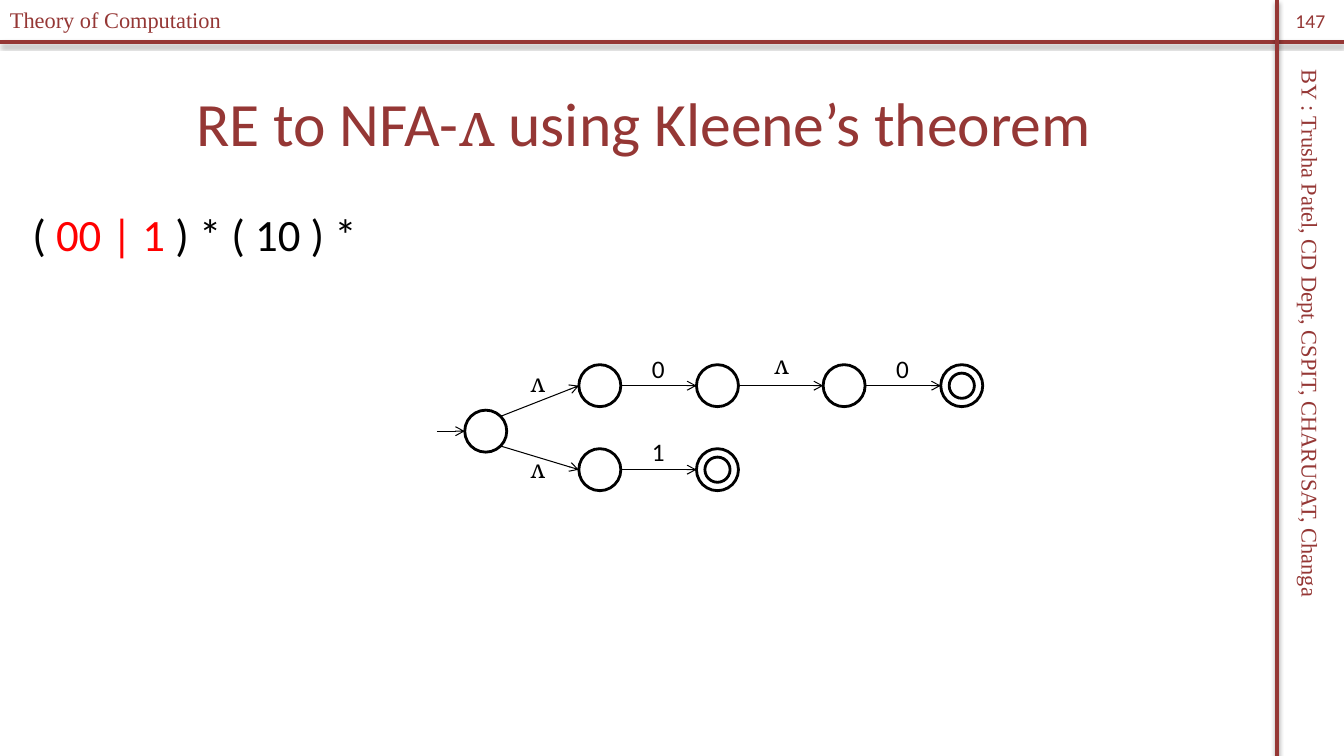
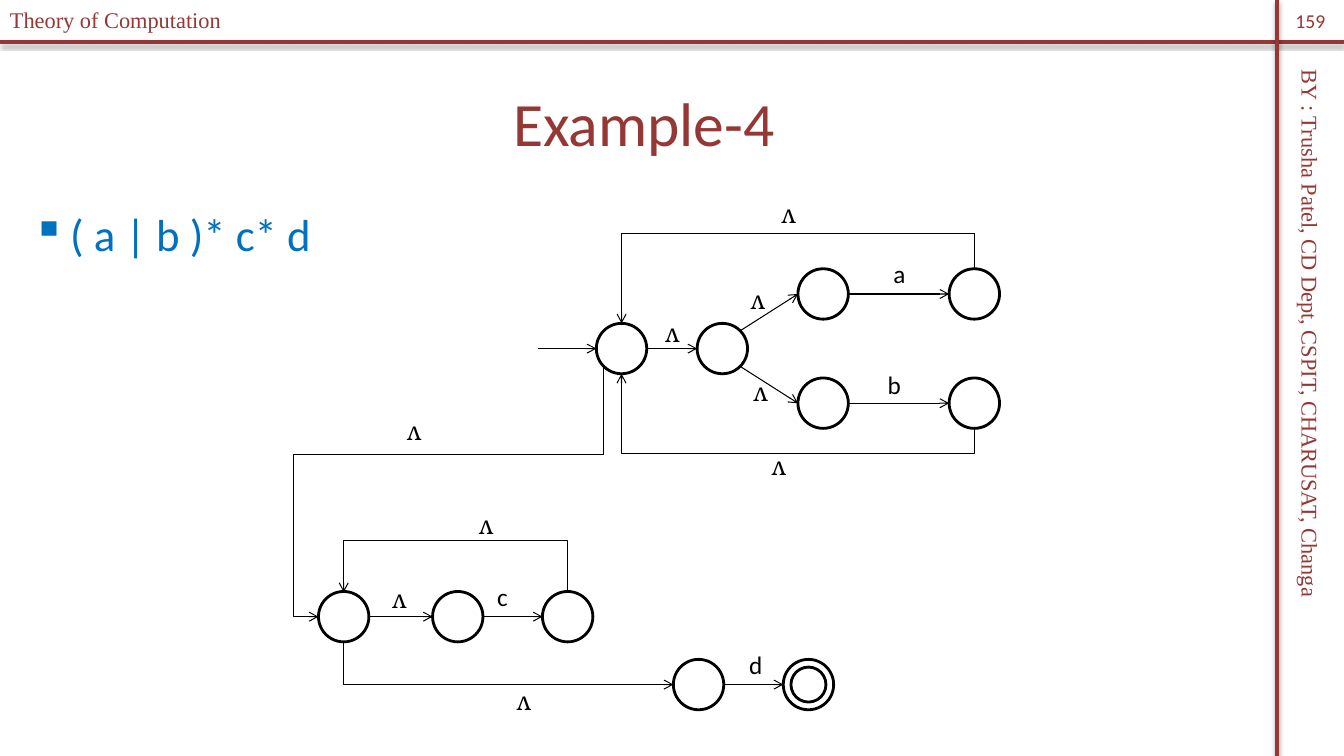
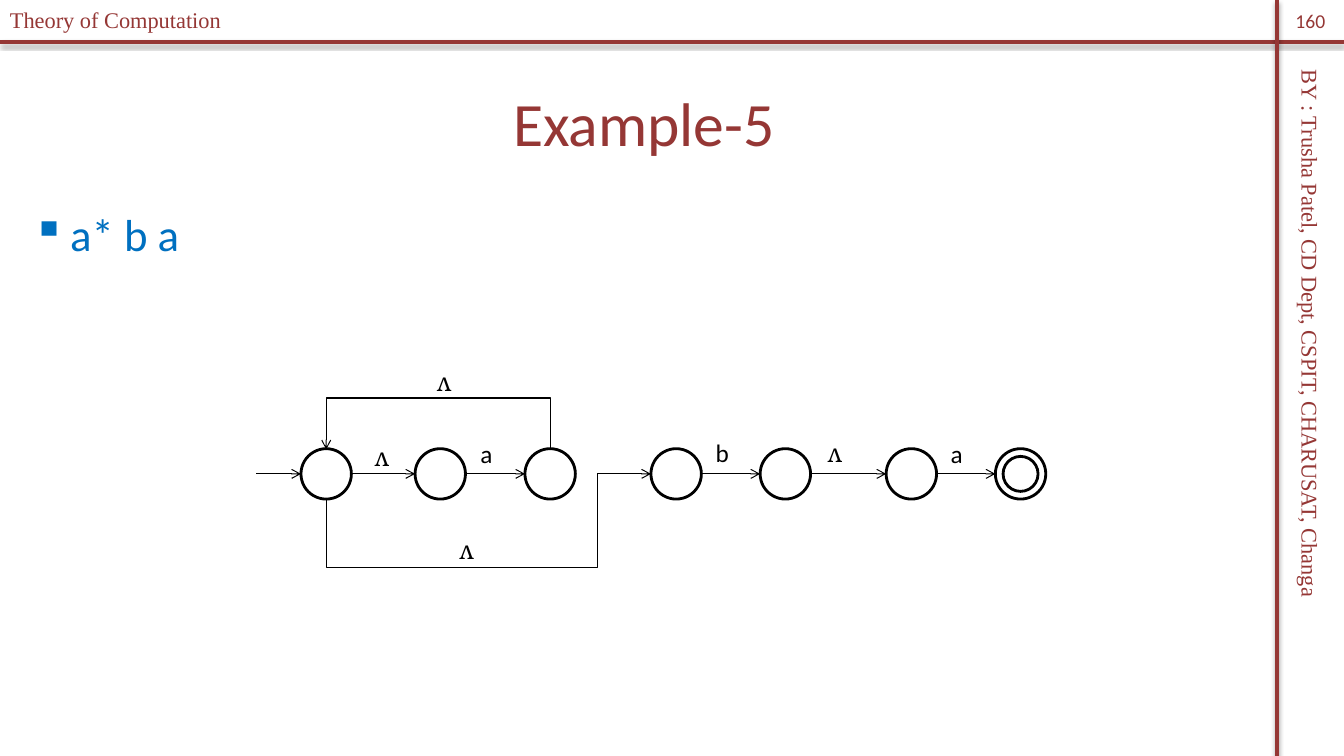
import math
from dataclasses import dataclass
from enum import IntEnum

import lxml.etree
import pptx
import pptx.dml.color
import pptx.enum.shapes
import pptx.enum.text
import pptx.oxml.ns
import pptx.shapes.autoshape
import pptx.shapes.connector
import pptx.slide
import pptx.util

Pt = pptx.util.Pt
qn = pptx.oxml.ns.qn
Slide = pptx.slide.Slide
Connector = pptx.shapes.connector.Connector
Oval = pptx.shapes.autoshape.Shape
Align = pptx.enum.text.PP_ALIGN
Anchor = pptx.enum.text.MSO_ANCHOR
Line = pptx.enum.shapes.MSO_CONNECTOR
Point = tuple[float, float]


@dataclass(frozen=True)
class Theme:
    accent: str = "953735"
    ink: str = "000000"
    paper: str = "FFFFFF"
    highlight: str = "FF0000"
    expression: str = "0070C0"
    font: str = "Calibri"
    symbol_font: str = "Cambria"
    frame_font: str = "Times New Roman"
    title_size: float = 44
    body_size: float = 32
    label_size: float = 18
    frame_size: float = 16
    number_size: float = 14
    rule_width: float = 3
    state_width: float = 2
    edge_width: float = 0.75


THEME = Theme()
WIDTH, HEIGHT = 960, 540
RAIL_X, RULE_Y = 912, 30
LAMBDA = "ʌ"


class Site(IntEnum):
    TOP = 0
    TOP_LEFT = 1
    LEFT = 2
    BOTTOM_LEFT = 3
    BOTTOM = 4
    BOTTOM_RIGHT = 5
    RIGHT = 6
    TOP_RIGHT = 7


@dataclass(frozen=True)
class Run:
    text: str
    color: str
    size: float
    font: str = THEME.font


@dataclass(frozen=True)
class Box:
    left: float
    top: float
    width: float
    height: float


@dataclass(frozen=True)
class State:
    x: float
    y: float
    accepting: bool = False


@dataclass(frozen=True)
class Edge:
    source: str
    target: str
    leaves: Site = Site.RIGHT
    enters: Site = Site.LEFT
    lanes: tuple[float, ...] | None = None


@dataclass(frozen=True)
class Label:
    left: float
    top: float
    symbol: str = LAMBDA


@dataclass(frozen=True)
class Automaton:
    diameter: float
    core: float
    entry_length: float
    start: str
    states: dict[str, State]
    edges: list[Edge]
    labels: list[Label]

    def site(self, name: str, site: Site) -> Point:
        state, angle = self.states[name], math.radians(90 + 45 * site)
        radius = self.diameter / 2
        return state.x + radius * math.cos(angle), state.y - radius * math.sin(angle)


@dataclass(frozen=True)
class Lesson:
    number: str
    title: list[Run]
    expression: list[Run]
    bulleted: bool
    automaton: Automaton


def rgb(color: str) -> pptx.dml.color.RGBColor:
    return pptx.dml.color.RGBColor.from_string(color)


def add_xml(parent, tag: str, **attributes: str):
    child = lxml.etree.SubElement(parent, qn(tag))
    for key, value in attributes.items():
        child.set(key, value)
    return child


def add_text(slide: Slide, box: Box, runs: list[Run], align=Align.LEFT,
             anchor=Anchor.TOP, wrap: bool = True, rotation: float = 0,
             bulleted: bool = False) -> None:
    area = slide.shapes.add_textbox(Pt(box.left), Pt(box.top), Pt(box.width), Pt(box.height))
    area.rotation = rotation
    frame = area.text_frame
    frame.word_wrap = wrap
    frame.vertical_anchor = anchor
    paragraph = frame.paragraphs[0]
    paragraph.alignment = align
    if bulleted:
        properties = paragraph._p.get_or_add_pPr()
        properties.set("marL", str(Pt(27)))
        properties.set("indent", str(Pt(-27)))
        add_xml(properties, "a:buChar", char="▪")
    for part in runs:
        run = paragraph.add_run()
        run.text = part.text
        run.font.name = part.font
        run.font.size = Pt(part.size)
        run.font.color.rgb = rgb(part.color)


def add_line(slide: Slide, kind, begin: Point, end: Point, color: str, width: float) -> Connector:
    line = slide.shapes.add_connector(kind, *(Pt(value) for value in (*begin, *end)))
    line.line.color.rgb = rgb(color)
    line.line.width = Pt(width)
    add_xml(line.element.spPr, "a:effectLst")
    return line


def add_frame_rule(slide: Slide, begin: Point, end: Point) -> None:
    rule = add_line(slide, Line.STRAIGHT, begin, end, THEME.accent, THEME.rule_width)
    shadow = add_xml(rule.element.spPr.find(qn("a:effectLst")), "a:outerShdw",
                     blurRad=str(Pt(3.1)), dist=str(Pt(1.8)), dir="5400000", rotWithShape="0")
    tint = add_xml(shadow, "a:srgbClr", val=THEME.ink)
    add_xml(tint, "a:alpha", val="35000")


def add_frame(slide: Slide, number: str) -> None:
    add_frame_rule(slide, (0, RULE_Y), (WIDTH, RULE_Y))
    add_frame_rule(slide, (RAIL_X, 0), (RAIL_X, HEIGHT))
    author = "BY : Trusha Patel, CD Dept, CSPIT, CHARUSAT, Changa"
    for text, box, rotation in (
        (author, Box(705, 260.5, 462, 26.5), 90),
        ("Theory of Computation", Box(0, 0.5, 237, 26.5), 0),
    ):
        add_text(slide, box, [Run(text, THEME.accent, THEME.frame_size, THEME.frame_font)],
                 rotation=rotation)
    add_text(slide, Box(RAIL_X, 0, WIDTH - RAIL_X, 29),
             [Run(number, THEME.accent, THEME.number_size)], Align.CENTER, Anchor.MIDDLE)


def add_circle(slide: Slide, state: State, diameter: float) -> Oval:
    circle = slide.shapes.add_shape(
        pptx.enum.shapes.MSO_SHAPE.OVAL, Pt(state.x - diameter / 2), Pt(state.y - diameter / 2),
        Pt(diameter), Pt(diameter))
    circle.shadow.inherit = False
    circle.fill.solid()
    circle.fill.fore_color.rgb = rgb(THEME.paper)
    circle.line.color.rgb = rgb(THEME.ink)
    circle.line.width = Pt(THEME.state_width)
    return circle


def add_arrow(slide: Slide, kind, begin: Point, end: Point) -> Connector:
    arrow = add_line(slide, kind, begin, end, THEME.ink, THEME.edge_width)
    add_xml(arrow.line._get_or_add_ln(), "a:tailEnd", type="arrow")
    return arrow


def add_elbow(slide: Slide, begin: Point, end: Point, lanes: tuple[float, ...]) -> Connector:
    (x1, y1), (x2, y2) = begin, end
    across, down = x2 - x1, (y2 - y1) or 1
    middle_x, middle_y = (x1 + x2) / 2, (y1 + y2) / 2
    arrow = add_arrow(slide, Line.ELBOW,
                      (middle_x - down / 2, middle_y + across / 2),
                      (middle_x + down / 2, middle_y - across / 2))
    properties = arrow.element.spPr
    properties.find(qn("a:xfrm")).set("rot", "5400000")
    geometry = properties.find(qn("a:prstGeom"))
    geometry.set("prst", f"bentConnector{2 + len(lanes)}")
    ratios = zip(lanes, (y1, x1), (down, across))
    for index, (lane, origin, span) in enumerate(ratios, 1):
        value = round((lane - origin) / span * 100000)
        add_xml(geometry.find(qn("a:avLst")), "a:gd", name=f"adj{index}", fmla=f"val {value}")
    return arrow


def glue(arrow: Connector, tag: str, circle: Oval, site: Site) -> None:
    links = arrow.element.find(qn("p:nvCxnSpPr")).find(qn("p:cNvCxnSpPr"))
    add_xml(links, tag, id=str(circle.shape_id), idx=str(int(site)))


def add_automaton(slide: Slide, automaton: Automaton) -> None:
    circles = {}
    for name, state in automaton.states.items():
        circles[name] = add_circle(slide, state, automaton.diameter)
        if state.accepting:
            add_circle(slide, state, automaton.core)

    entry_x, entry_y = automaton.site(automaton.start, Site.LEFT)
    entry = add_arrow(slide, Line.STRAIGHT, (entry_x - automaton.entry_length, entry_y),
                      (entry_x, entry_y))
    glue(entry, "a:endCxn", circles[automaton.start], Site.LEFT)

    for edge in automaton.edges:
        begin = automaton.site(edge.source, edge.leaves)
        end = automaton.site(edge.target, edge.enters)
        if edge.lanes is None:
            arrow = add_arrow(slide, Line.STRAIGHT, begin, end)
        else:
            arrow = add_elbow(slide, begin, end, edge.lanes)
        glue(arrow, "a:stCxn", circles[edge.source], edge.leaves)
        glue(arrow, "a:endCxn", circles[edge.target], edge.enters)

    for label in automaton.labels:
        font = THEME.symbol_font if label.symbol == LAMBDA else THEME.font
        add_text(slide, Box(label.left, label.top, 24, 29),
                 [Run(label.symbol, THEME.ink, THEME.label_size, font)], wrap=False)


def add_lesson(slide: Slide, lesson: Lesson) -> None:
    add_frame(slide, lesson.number)
    add_text(slide, Box(16, 42, 888, 90), lesson.title, Align.CENTER, Anchor.MIDDLE)
    add_text(slide, Box(16, 144, 888, 378), lesson.expression, bulleted=lesson.bulleted)
    add_automaton(slide, lesson.automaton)


def heading(text: str, font: str = THEME.font) -> Run:
    return Run(text, THEME.accent, THEME.title_size, font)


def body(text: str, color: str = THEME.expression) -> Run:
    return Run(text, color, THEME.body_size)


UNION = Automaton(
    30, 18, 20, "start",
    {
        "start": State(347, 308),
        "zero 1": State(428.5, 275.5),
        "zero 2": State(512.5, 275.5),
        "zero 3": State(603, 275.5),
        "zero 4": State(687, 275.5, True),
        "one 1": State(428.5, 335.5),
        "one 2": State(512.5, 335.5, True),
    },
    [
        Edge("start", "zero 1", Site.TOP_RIGHT),
        Edge("start", "one 1", Site.BOTTOM_RIGHT),
        Edge("zero 1", "zero 2"),
        Edge("zero 2", "zero 3"),
        Edge("zero 3", "zero 4"),
        Edge("one 1", "one 2"),
    ],
    [
        Label(458.5, 248.5, "0"), Label(633, 248.5, "0"), Label(458.5, 308, "1"),
        Label(546, 246), Label(372, 259), Label(372, 320.5),
    ],
)

STAR_CHAIN = Automaton(
    36, 25, 42, "hub",
    {
        "hub": State(444, 249),
        "fork": State(516, 249),
        "a 1": State(588, 210),
        "a 2": State(696, 210),
        "b 1": State(588, 288),
        "b 2": State(696, 288),
        "c hub": State(245.5, 440.5),
        "c 1": State(327, 440.5),
        "c 2": State(405.5, 440.5),
        "d 1": State(499, 489),
        "d 2": State(577.5, 489, True),
    },
    [
        Edge("hub", "fork"),
        Edge("fork", "a 1", Site.TOP_RIGHT),
        Edge("fork", "b 1", Site.BOTTOM_RIGHT),
        Edge("a 1", "a 2"),
        Edge("b 1", "b 2"),
        Edge("a 2", "hub", Site.TOP, Site.TOP, (166.5,)),
        Edge("b 2", "hub", Site.BOTTOM, Site.BOTTOM, (324,)),
        Edge("hub", "c hub", Site.BOTTOM_LEFT, Site.LEFT, (324.5, 209.5)),
        Edge("c hub", "c 1"),
        Edge("c 1", "c 2"),
        Edge("c 2", "c hub", Site.TOP, Site.TOP, (386.5,)),
        Edge("c hub", "d 1", Site.BOTTOM, Site.LEFT, ()),
        Edge("d 1", "d 2"),
    ],
    [
        Label(631, 181, "a"), Label(627, 260.5, "b"), Label(348, 412, "c"),
        Label(528, 460, "d"), Label(529, 199.5), Label(531, 265.5), Label(551, 138),
        Label(544, 318), Label(468, 223), Label(335, 360), Label(273, 413),
        Label(283.5, 293), Label(362, 486),
    ],
)

STAR_THEN_WORD = Automaton(
    36, 25, 32, "hub",
    {
        "hub": State(233, 338.5),
        "loop 1": State(314.5, 338.5),
        "loop 2": State(393, 338.5),
        "b 1": State(483, 338.5),
        "b 2": State(561, 338.5),
        "a 1": State(651, 338.5),
        "a 2": State(729, 338.5, True),
    },
    [
        Edge("hub", "loop 1"),
        Edge("loop 1", "loop 2"),
        Edge("loop 2", "hub", Site.TOP, Site.TOP, (284.5,)),
        Edge("hub", "b 1", Site.BOTTOM, Site.LEFT, (405.5, 427)),
        Edge("b 1", "b 2"),
        Edge("b 2", "a 1"),
        Edge("a 1", "a 2"),
    ],
    [
        Label(336, 309.5, "a"), Label(504, 309, "b"), Label(672, 309.5, "a"),
        Label(305, 258), Label(260.5, 312), Label(321, 378), Label(584, 309),
    ],
)

LESSONS = [
    Lesson(
        "147",
        [heading("RE to NFA-"), heading(LAMBDA, THEME.symbol_font),
         heading(" using Kleene’s theorem")],
        [body("( ", THEME.ink), body("00 | 1 ", THEME.highlight), body(") * ( 10 ) *", THEME.ink)],
        False, UNION,
    ),
    Lesson("159", [heading("Example-4")], [body("( a | b )* c* d")], True, STAR_CHAIN),
    Lesson("160", [heading("Example-5")], [body("a* b a")], True, STAR_THEN_WORD),
]


def main() -> None:
    deck = pptx.Presentation()
    deck.slide_width, deck.slide_height = Pt(WIDTH), Pt(HEIGHT)
    blank = deck.slide_layouts[6]
    for lesson in LESSONS:
        add_lesson(deck.slides.add_slide(blank), lesson)
    deck.save("out.pptx")


if __name__ == "__main__":
    main()
